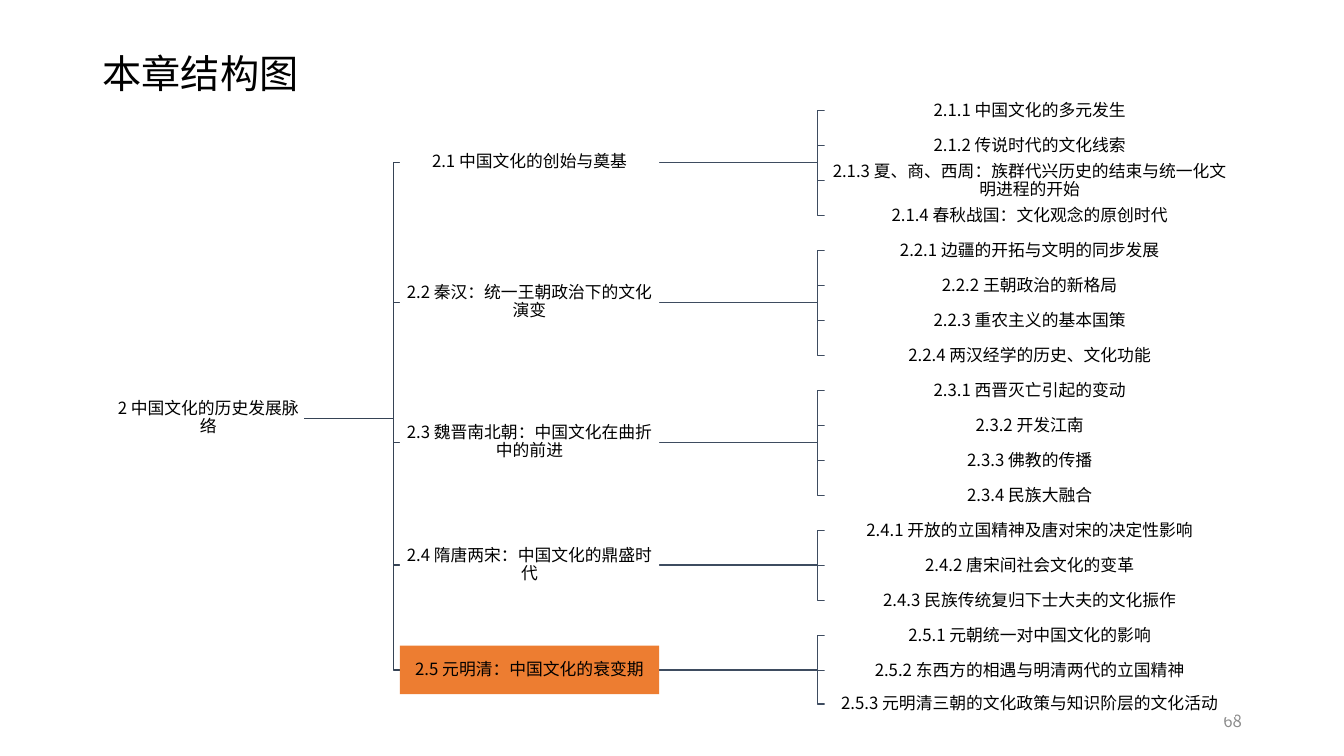
from dataclasses import dataclass
from lxml import etree
from pptx import Presentation
from pptx import util as u
from pptx.dml.color import RGBColor
from pptx.enum import shapes, text
from pptx.oxml import ns

FONT = "Noto Sans CJK SC"
BLACK = RGBColor(0x00, 0x00, 0x00)
WHITE = RGBColor(0xFF, 0xFF, 0xFF)
GREY = RGBColor(0x8C, 0x8C, 0x8C)
ORANGE = RGBColor(0xED, 0x7D, 0x31)
NAVY = RGBColor(0x36, 0x43, 0x55)
SLATE = RGBColor(0x3E, 0x4C, 0x60)
GAP = chr(160)
TOP, STEP, LAST = 2.79, 14.11 / 16, 17.74
BEND = 0.17


@dataclass(frozen=True)
class Level:
    left: float
    width: float
    height: float


@dataclass(frozen=True)
class Branch:
    name: str
    leaves: tuple[str, ...]
    fill: RGBColor = WHITE


@dataclass(frozen=True)
class Node:
    label: str
    level: Level
    mid: float
    fill: RGBColor = WHITE


@dataclass(frozen=True)
class Link:
    start: Node
    end: Node
    color: RGBColor


ROOT = Level(2.84, 4.82, 1.8)
BRANCH = Level(10.08, 6.53, 1.22)
LEAF = Level(20.78, 10.34, 0.66)

BRANCHES = (
    Branch("中国文化的创始与奠基", (
        "中国文化的多元发生",
        "传说时代的文化线索",
        "夏、商、西周：族群代兴历史的结束与统一化文明进程的开始",
        "春秋战国：文化观念的原创时代",
    )),
    Branch("秦汉：统一王朝政治下的文化演变", (
        "边疆的开拓与文明的同步发展",
        "王朝政治的新格局",
        "重农主义的基本国策",
        "两汉经学的历史、文化功能",
    )),
    Branch("魏晋南北朝：中国文化在曲折中的前进", (
        "西晋灭亡引起的变动",
        "开发江南",
        "佛教的传播",
        "民族大融合",
    )),
    Branch("隋唐两宋：中国文化的鼎盛时代", (
        "开放的立国精神及唐对宋的决定性影响",
        "唐宋间社会文化的变革",
        "民族传统复归下士大夫的文化振作",
    )),
    Branch("元明清：中国文化的衰变期", (
        "元朝统一对中国文化的影响",
        "东西方的相遇与明清两代的立国精神",
        "元明清三朝的文化政策与知识阶层的文化活动",
    ), ORANGE),
)


def write(shape, words: str, *, size: float = 12, color: RGBColor = BLACK,
          align=text.PP_ALIGN.CENTER, space: float = 0.9, inset: float = 0.02) -> None:
    frame = shape.text_frame
    frame.word_wrap = True
    frame.vertical_anchor = text.MSO_ANCHOR.MIDDLE
    frame.margin_left = frame.margin_right = u.Cm(inset)
    frame.margin_top = frame.margin_bottom = u.Cm(inset)
    para = frame.paragraphs[0]
    para.alignment = align
    para.line_spacing = space
    run = para.add_run()
    run.text = words
    run.font.size = u.Pt(size)
    run.font.name = FONT
    run.font.color.rgb = color
    props = run.font._element
    etree.SubElement(props, ns.qn("a:ea")).set("typeface", FONT)


def box(slide, node: Node) -> None:
    level = node.level
    shape = slide.shapes.add_shape(
        shapes.MSO_SHAPE.RECTANGLE, u.Cm(level.left),
        u.Cm(node.mid - level.height / 2), u.Cm(level.width), u.Cm(level.height))
    shape.shadow.inherit = False
    shape.fill.solid()
    shape.fill.fore_color.rgb = node.fill
    shape.line.fill.background()
    write(shape, node.label)


def elbow(slide, link: Link) -> None:
    start, end = link.start, link.end
    edge = end.level.left
    turn = u.Cm(edge - BEND)
    high, low = u.Cm(start.mid), u.Cm(end.mid)
    build = slide.shapes.build_freeform(
        u.Cm(start.level.left + start.level.width), high)
    build.add_line_segments(
        [(turn, high), (turn, low), (u.Cm(edge), low)], close=False)
    line = build.convert_to_shape()
    line.shadow.inherit = False
    line.fill.background()
    line.line.color.rgb = link.color
    line.line.width = u.Pt(1)


def plan() -> tuple[list[Node], list[Link]]:
    root = Node(f"2{GAP}中国文化的历史发展脉络", ROOT, 10.54)
    nodes, links = [root], []
    row = 0
    for i, branch in enumerate(BRANCHES, 1):
        count = len(branch.leaves)
        mid = TOP + STEP * (row + (count - 1) / 2) - 0.02
        stem = Node(f"2.{i}{GAP}{branch.name}", BRANCH, mid, branch.fill)
        nodes.append(stem)
        links.append(Link(root, stem, NAVY))
        for j, name in enumerate(branch.leaves, 1):
            leaf = Node(f"2.{i}.{j}{GAP}{name}", LEAF, min(TOP + STEP * row, LAST))
            nodes.append(leaf)
            links.append(Link(stem, leaf, SLATE))
            row += 1
    return nodes, links


def main() -> None:
    deck = Presentation()
    deck.slide_width, deck.slide_height = u.Cm(33.87), u.Cm(19.05)
    slide = deck.slides.add_slide(deck.slide_layouts[6])
    title = slide.shapes.add_textbox(u.Cm(2.34), u.Cm(1.02), u.Cm(8.36), u.Cm(1.8))
    write(title, "本章结构图", size=28, align=text.PP_ALIGN.LEFT, inset=0.25)
    page = slide.shapes.add_textbox(u.Cm(23.93), u.Cm(17.65), u.Cm(7.62), u.Cm(1.02))
    write(page, "68", color=GREY, align=text.PP_ALIGN.RIGHT, space=1.0, inset=0.25)
    nodes, links = plan()
    for link in links:
        elbow(slide, link)
    for node in nodes:
        box(slide, node)
    deck.save("out.pptx")


if __name__ == "__main__":
    main()
